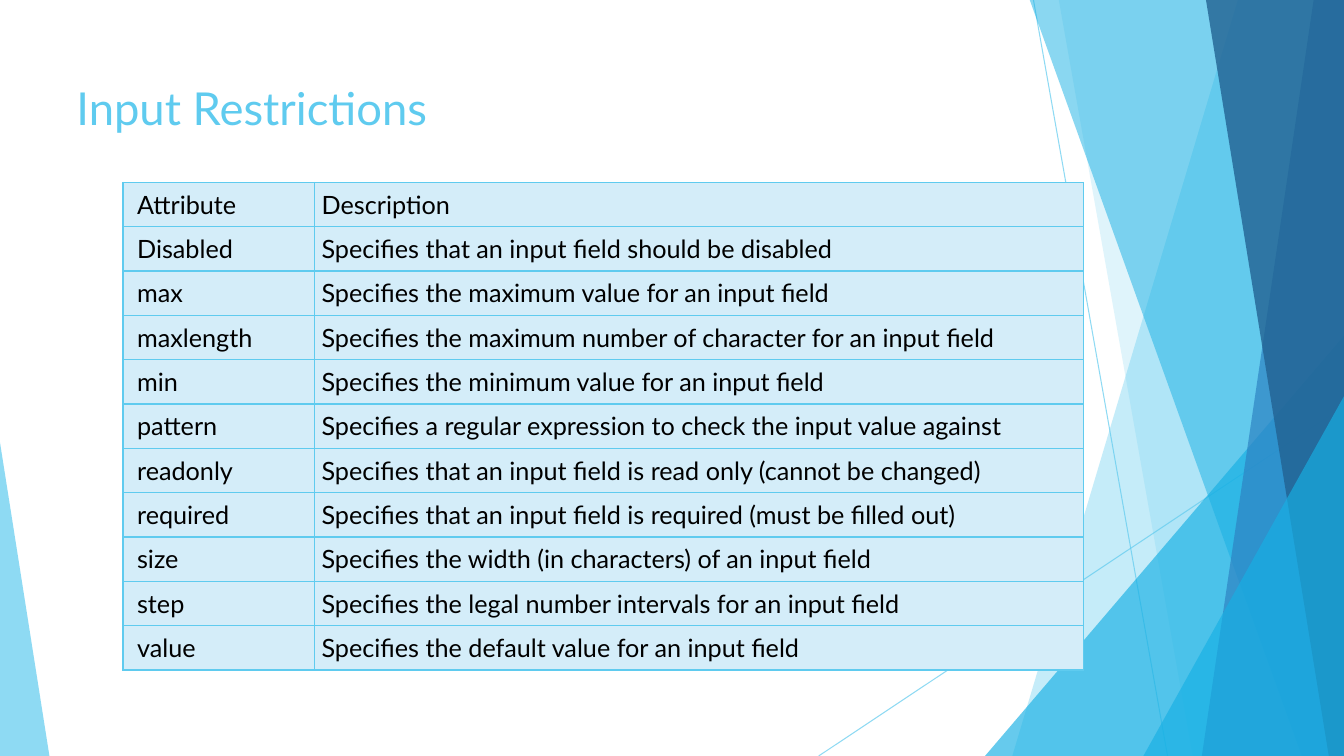
from lxml import etree
from pptx import Presentation
from pptx import util as u
from pptx.dml.color import RGBColor
from pptx.enum import shapes, text
from pptx.oxml import ns

COLORS = {
    "sky": "5FCBEF",
    "cyan": "17B0E4",
    "blue": "2E83C3",
    "navy": "226292",
    "cell": "D4EDF9",
    "text": "000000",
}
FONT = "Lato"


def paint(fill, color, opacity=100):
    fill.solid()
    fill.fore_color.rgb = RGBColor.from_string(COLORS[color])
    if opacity < 100:
        for color_element in fill._xPr.iter(ns.qn("a:srgbClr")):
            alpha = etree.SubElement(color_element, ns.qn("a:alpha"))
            alpha.set("val", str(opacity * 1000))


def style_run(run, size, color):
    run.font.name = FONT
    run.font.size = u.Pt(size)
    run.font.color.rgb = RGBColor.from_string(COLORS[color])


presentation = Presentation()
presentation.slide_width = u.Inches(13.33)
presentation.slide_height = u.Inches(7.5)
slide = presentation.slides.add_slide(presentation.slide_layouts[6])

for start_x, start_y, end_x, end_y in [(10.25, 0, 11.58, 7.5), (13.33, 4.03, 8.12, 7.5)]:
    connector = slide.shapes.add_connector(
        shapes.MSO_CONNECTOR.STRAIGHT,
        u.Inches(start_x), u.Inches(start_y), u.Inches(end_x), u.Inches(end_y))
    connector.line.width = u.Pt(0.75)
    paint(connector.line.fill, "sky", 70)
    etree.SubElement(connector._element.spPr, ns.qn("a:effectLst"))

facets = [
    ("band", (12.28, 10.04), "sky", 36),
    ("band", (10.5, 11.83), "sky", 20),
    ("triangle", (9.77, 3.33, 3.56, 4.17, 1), "cyan", 66),
    ("band", (10.21, 12.91), "cyan", 50),
    ("band", (13.03, 11.92), "blue", 70),
    ("band", (11.96, 13.18), "navy", 80),
    ("triangle", (11.34, 3.93, 1.99, 3.57, 1), "cyan", 66),
    ("triangle", (0, 4.39, 0.49, 3.11, 0), "sky", 70),
]
for kind, geometry, color, opacity in facets:
    if kind == "band":
        top_x, bottom_x = geometry
        builder = slide.shapes.build_freeform(u.Inches(top_x), u.Inches(-0.01))
        corners = [(13.33, -0.01), (13.33, 7.5), (bottom_x, 7.5)]
        builder.add_line_segments([(u.Inches(x), u.Inches(y)) for x, y in corners])
        shape = builder.convert_to_shape()
    else:
        *box, apex = geometry
        shape = slide.shapes.add_shape(
            shapes.MSO_SHAPE.ISOSCELES_TRIANGLE, *[u.Inches(length) for length in box])
        shape.adjustments[0] = apex
    paint(shape.fill, color, opacity)
    shape.line.fill.background()
    shape.shadow.inherit = False

title = slide.shapes.add_textbox(u.Inches(0.66), u.Inches(0.75), u.Inches(9.33), u.Inches(1.65))
title.text_frame.word_wrap = True
title.text_frame.vertical_anchor = text.MSO_ANCHOR.TOP
title.text_frame.text = "Input Restrictions"
style_run(title.text_frame.paragraphs[0].runs[0], 32.4, "sky")

restrictions = [
    ("Attribute", "Description"),
    ("Disabled", "Specifies that an input field should be disabled"),
    ("max", "Specifies the maximum value for an input field"),
    ("maxlength", "Specifies the maximum number of character for an input field"),
    ("min", "Specifies the minimum value for an input field"),
    ("pattern", "Specifies a regular expression to check the input value against"),
    ("readonly", "Specifies that an input field is read only (cannot be changed)"),
    ("required", "Specifies that an input field is required (must be filled out)"),
    ("size", "Specifies the width (in characters) of an input field"),
    ("step", "Specifies the legal number intervals for an input field"),
    ("value", "Specifies the default value for an input field"),
]
table_height = u.Inches(4.82)
table = slide.shapes.add_table(
    len(restrictions), 2, u.Inches(1.22), u.Inches(1.81), u.Inches(9.53), table_height).table
table.first_row = False
table.horz_banding = False
for column, width in zip(table.columns, (1.9, 7.63)):
    column.width = u.Inches(width)

for row_index, values in enumerate(restrictions):
    table.rows[row_index].height = table_height // len(restrictions)
    for column_index, value in enumerate(values):
        cell = table.cell(row_index, column_index)
        cell.text_frame.text = value
        style_run(cell.text_frame.paragraphs[0].runs[0], 18, "text")
        cell.margin_left = u.Inches((0.14, 0.07)[column_index])
        cell.margin_right = cell.margin_top = cell.margin_bottom = u.Inches(0.07)
        properties = cell._tc.get_or_add_tcPr()
        for side in ("lnL", "lnR", "lnT", "lnB"):
            border = etree.SubElement(properties, ns.qn(f"a:{side}"), w=str(u.Pt(1)))
            border_fill = etree.SubElement(border, ns.qn("a:solidFill"))
            etree.SubElement(border_fill, ns.qn("a:srgbClr"), val=COLORS["sky"])
        paint(cell.fill, "cell")

presentation.save("out.pptx")
